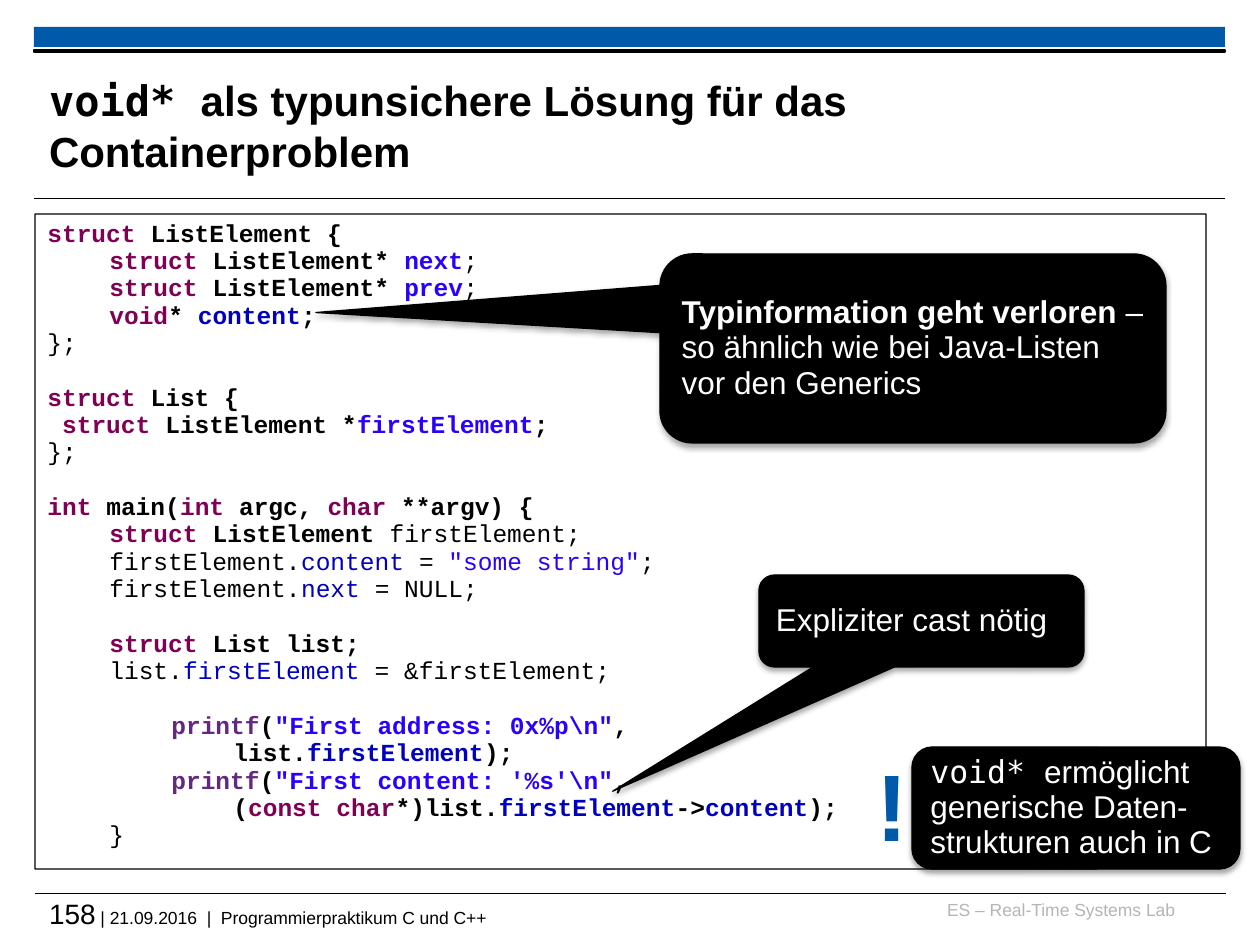
from dataclasses import dataclass

from lxml import etree
from pptx import Presentation
from pptx.dml.color import RGBColor
from pptx.enum.shapes import MSO_CONNECTOR, MSO_SHAPE
from pptx.enum.text import MSO_ANCHOR, MSO_AUTO_SIZE, PP_ALIGN
from pptx.oxml.ns import qn
from pptx.util import Emu, Pt

RECT, FOLDED = MSO_SHAPE.RECTANGLE, MSO_SHAPE.FOLDED_CORNER
ROUNDED, CALLOUT = MSO_SHAPE.ROUNDED_RECTANGLE, MSO_SHAPE.ROUNDED_RECTANGULAR_CALLOUT
STRAIGHT = MSO_CONNECTOR.STRAIGHT
TOP, MIDDLE = MSO_ANCHOR.TOP, MSO_ANCHOR.MIDDLE
LEFT, CENTER, RIGHT = PP_ALIGN.LEFT, PP_ALIGN.CENTER, PP_ALIGN.RIGHT
NO_FIT, GROW = MSO_AUTO_SIZE.NONE, MSO_AUTO_SIZE.SHAPE_TO_FIT_TEXT
SCALE = 914400 / 126


@dataclass(frozen=True)
class Theme:
    sans: str = "Arial"
    mono: str = "DejaVu Sans Mono"
    code: str = "Courier New"
    black: str = "000000"
    white: str = "FFFFFF"
    blue: str = "005AA9"
    gray: str = "B5B5B5"
    keyword: str = "7F0055"
    literal: str = "2A00FF"
    member: str = "0000C0"
    function: str = "642880"
    small: int = 10
    code_size: int = 14
    number_size: int = 16
    note_size: int = 18
    title_size: int = 24
    mark_size: int = 54
    leading: float = 0.93


THEME = Theme()

PLAIN, BOLD = (THEME.black, False), (THEME.black, True)
KEYWORD, FUNCTION = (THEME.keyword, True), (THEME.function, True)
LITERAL, BOLD_LITERAL = (THEME.literal, False), (THEME.literal, True)
MEMBER, BOLD_MEMBER = (THEME.member, False), (THEME.member, True)

CODE = [
    (0, False, [("struct ", KEYWORD), ("ListElement {", BOLD)]),
    (1, False, [("struct ", KEYWORD), ("ListElement* ", BOLD), ("next", BOLD_LITERAL), (";", PLAIN)]),
    (1, False, [("struct ", KEYWORD), ("ListElement* ", BOLD), ("prev", BOLD_LITERAL), (";", PLAIN)]),
    (1, False, [("void", KEYWORD), ("* ", BOLD), ("content", BOLD_MEMBER), (";", BOLD)]),
    (0, False, [("};", PLAIN)]),
    (0, True, [("struct ", KEYWORD), ("List {", BOLD)]),
    (0, False, [(" ", PLAIN), ("struct ", KEYWORD), ("ListElement *", BOLD),
                ("firstElement", BOLD_LITERAL), (";", BOLD)]),
    (0, False, [("};", PLAIN)]),
    (0, True, [("int", KEYWORD), (" main(", BOLD), ("int ", KEYWORD), ("argc, ", BOLD),
               ("char", KEYWORD), (" **argv) {", BOLD)]),
    (1, False, [("struct ", KEYWORD), ("ListElement ", BOLD), ("firstElement;", PLAIN)]),
    (1, False, [("firstElement.", PLAIN), ("content ", MEMBER), ("= ", PLAIN),
                ('"some string"', LITERAL), (";", PLAIN)]),
    (1, False, [("firstElement.", PLAIN), ("next ", MEMBER), ("= NULL;", PLAIN)]),
    (1, True, [("struct ", KEYWORD), ("List list;", BOLD)]),
    (1, False, [("list.", PLAIN), ("firstElement", MEMBER), (" = &firstElement;", PLAIN)]),
    (2, True, [("printf", FUNCTION), ("(", BOLD), ('"First address: 0x%p\\n"', BOLD_LITERAL), (",", BOLD)]),
    (3, False, [("list.", BOLD), ("firstElement", BOLD_MEMBER), (");", BOLD)]),
    (2, False, [("printf", FUNCTION), ("(", BOLD), ("\"First content: '%s'\\n\"", BOLD_LITERAL), (",", BOLD)]),
    (3, False, [("(", BOLD), ("const char", KEYWORD), ("*)list.", BOLD), ("firstElement", BOLD_MEMBER),
                ("->", BOLD), ("content", BOLD_MEMBER), (");", BOLD)]),
    (1, False, [("}", PLAIN)]),
]


def px(length):
    return Emu(round(length * SCALE))


def assign(target, values):
    for name, value in values.items():
        setattr(target, name, value)


def write(paragraph, pieces, **layout):
    assign(paragraph, layout)
    for words, face, size, color, bold in pieces:
        run = paragraph.add_run()
        run.text = words
        assign(run.font, {"name": face, "size": Pt(size), "bold": bold})
        run.font.color.rgb = RGBColor.from_string(color)


def set_frame(frame, inset=None, **values):
    assign(frame, values)
    if inset is not None:
        sides = ("margin_left", "margin_top", "margin_right", "margin_bottom")
        assign(frame, dict.fromkeys(sides, px(inset)))


def add_panel(slide, kind, box, fill=None, line=None):
    panel = slide.shapes.add_shape(kind, *map(px, box))
    panel.shadow.inherit = False
    if fill:
        panel.fill.solid()
        panel.fill.fore_color.rgb = RGBColor.from_string(fill)
    else:
        panel.fill.background()
    if line:
        panel.line.color.rgb = RGBColor.from_string(line)
        panel.line.width = Pt(0.75)
    else:
        panel.line.fill.background()
    return panel


def add_label(slide, box, pieces, align=LEFT, **frame_values):
    frame = slide.shapes.add_textbox(*map(px, box)).text_frame
    set_frame(frame, **frame_values)
    write(frame.paragraphs[0], pieces, alignment=align)
    return frame


def add_rule(slide, left, top, width):
    rule = slide.shapes.add_connector(STRAIGHT, px(left), px(top), px(left + width), px(top))
    rule.line.color.rgb = RGBColor.from_string(THEME.black)
    rule.line.width = Pt(0.6)
    etree.SubElement(rule._element.spPr, qn("a:effectLst"))


def add_header(slide, box):
    left, top, width, height = box
    add_panel(slide, RECT, (left, top, width, 20), THEME.blue)
    add_panel(slide, RECT, (left, top + 23, width, 2), THEME.black, THEME.black)
    add_rule(slide, left, top + height, width)
    title = slide.shapes.title
    place = (left + 15, top + 40, 948, 116)
    assign(title, dict(zip(("left", "top", "width", "height"), map(px, place))))
    set_frame(title.text_frame, inset=0, vertical_anchor=MIDDLE, word_wrap=True, auto_size=NO_FIT)
    write(title.text_frame.paragraphs[0], [
        ("void* ", THEME.mono, THEME.title_size, THEME.black, True),
        ("als typunsichere Lösung für das Containerproblem", THEME.sans, THEME.title_size, THEME.black, True),
    ], alignment=LEFT)


def add_footer(slide, box):
    left, top, width, height = box
    add_rule(slide, left, top, width)
    add_label(slide, (left + 892, top + 5, 248, 32), [
        ("ES – Real-Time Systems Lab", THEME.sans, THEME.small, THEME.gray, False),
    ], RIGHT, inset=0, word_wrap=True)
    add_label(slide, (left + 14, top + 3, width - 14, height - 2), [
        ("158", THEME.sans, THEME.number_size, THEME.black, False),
        (" | 21.09.2016  |  Programmierpraktikum C und C++", THEME.sans, THEME.small, THEME.black, False),
    ], inset=0, word_wrap=True)


def add_code(slide, box):
    frame = add_panel(slide, FOLDED, box, line=THEME.black).text_frame
    set_frame(frame, vertical_anchor=TOP, word_wrap=True)
    for index, (level, gap, tokens) in enumerate(CODE):
        paragraph = frame.add_paragraph() if index else frame.paragraphs[0]
        properties = paragraph._p.get_or_add_pPr()
        properties.set("marL", str(px(62 * level)))
        properties.set("indent", "0")
        pieces = [(words, THEME.code, THEME.code_size, *style) for words, style in tokens]
        write(paragraph, pieces, alignment=LEFT, line_spacing=THEME.leading, space_before=px(27.5 if gap else 0))


def add_note(slide, box, kind, pieces, tail=()):
    note = add_panel(slide, kind, box, THEME.black, THEME.black)
    for index, value in enumerate(tail):
        note.adjustments[index] = value
    effects = note._element.spPr.find(qn("a:effectLst"))
    shadow = etree.SubElement(effects, qn("a:outerShdw"), blurRad=str(Pt(3.1)), dist=str(Pt(1.8)),
                              dir="5400000", rotWithShape="0")
    tint = etree.SubElement(shadow, qn("a:srgbClr"), val=THEME.black)
    etree.SubElement(tint, qn("a:alpha"), val="35000")
    set_frame(note.text_frame, vertical_anchor=MIDDLE, word_wrap=True)
    styled = [(words, face, THEME.note_size, THEME.white, bold) for words, face, bold in pieces]
    write(note.text_frame.paragraphs[0], styled, alignment=LEFT, line_spacing=THEME.leading)


def add_takeaway(slide, box):
    left, top, width, height = box
    add_note(slide, (left + 48, top, width - 48, height), ROUNDED, [
        ("void* ", THEME.mono, False),
        ("ermöglicht generische Daten-strukturen auch in C", THEME.sans, False),
    ])
    mark = add_label(slide, (left, top + 4, 57, 120), [
        ("!", THEME.sans, THEME.mark_size, THEME.blue, True),
    ], CENTER, word_wrap=False, auto_size=GROW)
    mark.paragraphs[0].line_spacing = THEME.leading


def main():
    deck = Presentation()
    assign(deck, {"slide_width": px(1260), "slide_height": px(945)})
    slide = deck.slides.add_slide(deck.slide_layouts[5])
    add_header(slide, (34, 27, 1191, 172))
    add_footer(slide, (35, 894, 1191, 44))
    add_code(slide, (35, 214, 1171, 655))
    add_note(slide, (759, 575, 325, 92), CALLOUT,
             [("Expliziter cast nötig", THEME.sans, False)], (-0.95, 1.85, 0.17))
    add_note(slide, (660, 254, 506, 189), CALLOUT, [
        ("Typinformation geht verloren ", THEME.sans, True),
        ("– so ähnlich wie bei Java-Listen vor den Generics", THEME.sans, False),
    ], (-1.18, -0.19, 0.17))
    add_takeaway(slide, (864, 747, 376, 122))
    deck.save("out.pptx")


if __name__ == "__main__":
    main()
